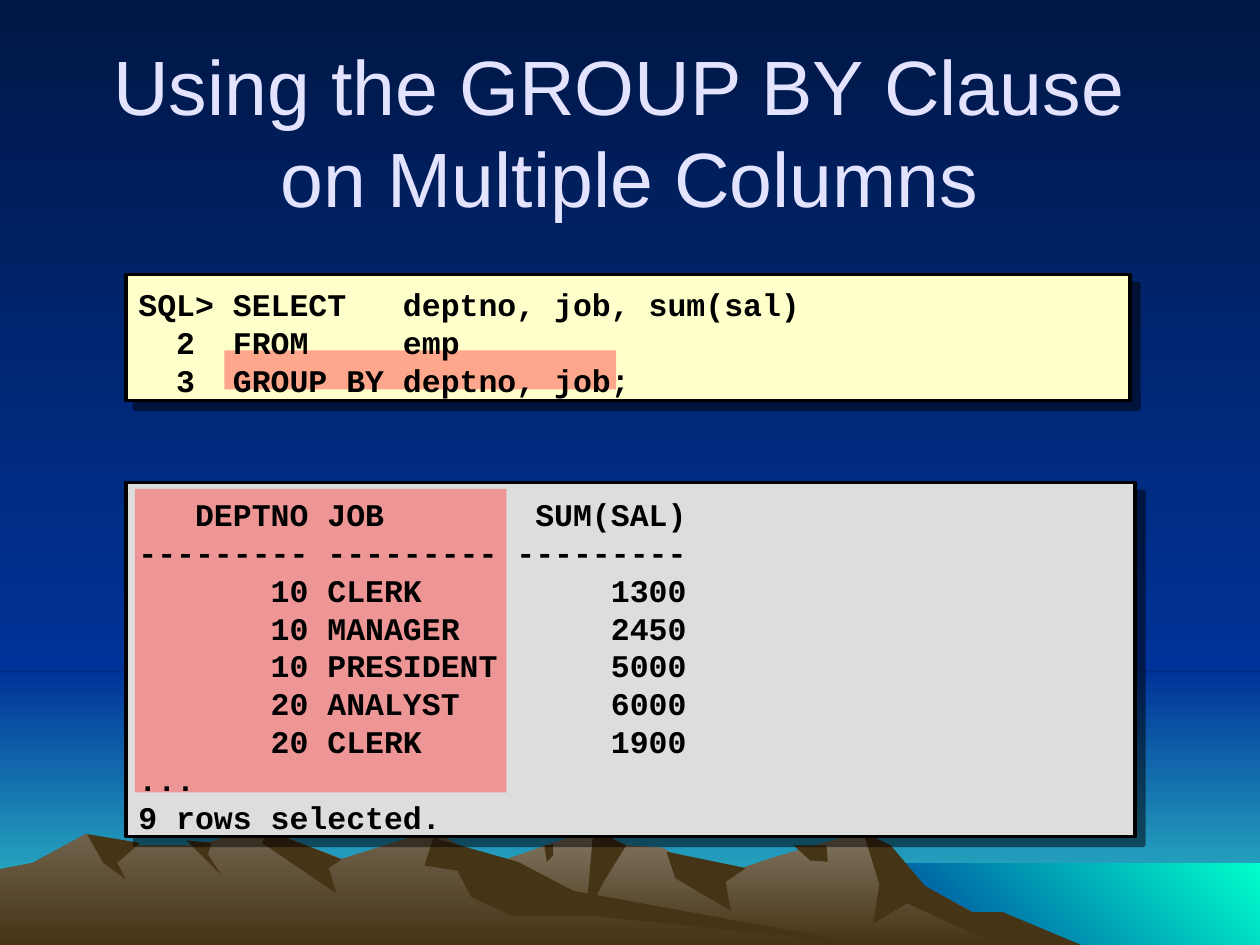
from pptx import Presentation, util as u
from pptx.dml.color import RGBColor
from pptx.enum import shapes, text
from pptx.oxml import ns
from lxml import etree

# ---- Content ----
TITLE = ["Using the GROUP BY Clause ", "on Multiple Columns"]
QUERY = [
    "SQL>\tSELECT\tdeptno, job, sum(sal)",
    "\t2\tFROM\temp",
    "\t3\tGROUP BY deptno, job;",
]
HEAD = ("DEPTNO", "JOB", "SUM(SAL)")
ROWS = [
    (10, "CLERK", 1300),
    (10, "MANAGER", 2450),
    (10, "PRESIDENT", 5000),
    (20, "ANALYST", 6000),
    (20, "CLERK", 1900),
]
RULE = " ".join(["-" * 9] * 3)
LINES = ["\t%s\t%s\t%s" % row for row in [HEAD] + ROWS]
RESULT = LINES[:1] + [RULE] + LINES[1:] + ["...", "9 rows selected."]

# Tab stops, counted in characters
QTABS = [(2, "l"), (5, "l"), (14, "l")]
RTABS = [(9, "r"), (10, "l"), (29, "r")]

# ---- Mountains: fill, then outline in hundredths of an inch ----
DARK = "463416"
SKY = ("001746", "003399")
PEAKS = [
    # Far ridge and its slope
    (("837763", DARK), [
        (258, 750), (327, 709), (394, 685), (471, 658), (497, 671), (526, 673),
        (566, 697), (613, 681), (685, 660), (723, 698), (820, 750)]),
    (DARK, [
        (685, 660), (698, 702), (693, 733), (720, 717), (792, 750), (858, 750),
        (796, 724), (771, 724), (734, 703), (707, 671)]),
    (DARK, [(471, 658), (465, 727), (479, 700), (497, 671)]),
    (DARK, [(529, 676), (536, 697), (580, 723), (576, 700), (592, 689)]),
    (DARK, [(630, 671), (643, 683), (657, 684), (656, 671)]),
    (DARK, [(432, 671), (439, 670), (439, 679), (434, 684)]),
    # Near ridge and its gullies
    (("72644E", DARK), [
        (0, 750), (0, 690), (26, 685), (68, 662), (94, 671), (160, 671),
        (196, 658), (223, 663), (271, 682), (331, 663), (354, 665), (432, 712),
        (690, 750)]),
    (DARK, [(212, 659), (208, 669), (267, 709), (261, 689), (271, 682)]),
    (DARK, [
        (344, 665), (337, 687), (363, 691), (374, 712), (407, 727), (472, 727),
        (690, 750), (455, 707), (411, 684)]),
    (DARK, [(148, 667), (168, 669), (165, 678), (176, 695)]),
    (DARK, [(69, 662), (111, 669), (93, 685), (100, 698), (82, 685)]),
]


# ---- Helpers ----
def inch(num):
    return u.Cm(num * 2.54)


def rgb(code):
    return RGBColor.from_string(code)


def sub(node, tag, **atts):
    return etree.SubElement(node, ns.qn(tag), {k: str(v) for k, v in atts.items()})


def paint(fill, col, ang=90):
    """Solid for one colour, gradient for a pair."""
    if isinstance(col, str):
        fill.solid()
        fill.fore_color.rgb = rgb(col)
        return
    fill.gradient()
    fill.gradient_angle = 360 - ang
    for stop, code in zip(fill.gradient_stops, col):
        stop.color.rgb = rgb(code)


def cast(node, dist):
    """Half-clear black shadow to the lower right."""
    shade = sub(node, "a:outerShdw", dist=u.Pt(dist), dir=45 * 60000,
                algn="ctr", rotWithShape=0)
    sub(sub(shade, "a:srgbClr", val="000000"), "a:alpha", val=50000)


def plain(shape, col, ang=90):
    shape.shadow.inherit = False
    paint(shape.fill, col, ang)
    shape.line.fill.background()
    return shape


def rect(box, col, ang=90):
    kind = shapes.MSO_SHAPE.RECTANGLE
    return plain(slide.shapes.add_shape(kind, *map(inch, box)), col, ang)


def panel(box, col):
    shape = rect(box, col)
    shape.line.color.rgb = rgb("000000")
    shape.line.width = u.Pt(2)
    cast(shape.element.spPr.find(ns.qn("a:effectLst")), 7.1)


def glow(box):
    shape = rect(box, "FF5050")
    clr = shape.element.spPr.find(".//" + ns.qn("a:srgbClr"))
    sub(clr, "a:alpha", val=50000)


def frame(box, top, low):
    body = slide.shapes.add_textbox(*map(inch, box)).text_frame
    body.word_wrap = True
    body.margin_left = body.margin_right = inch(0.1)
    body.margin_top, body.margin_bottom = inch(top), inch(low)
    return body


def put(par, words, face, size, col, bold=False):
    run = par.add_run()
    run.text = words
    font = run.font
    font.name, font.size, font.bold = face, u.Pt(size), bold
    font.color.rgb = rgb(col)
    return run


def code(box, lines, tabs):
    body = frame(box, 0.09, 0.01)
    body.vertical_anchor = text.MSO_ANCHOR.MIDDLE
    for i, line in enumerate(lines):
        par = body.add_paragraph() if i else body.paragraphs[0]
        par.line_spacing = u.Pt(21.6)
        stops = sub(par._p.get_or_add_pPr(), "a:tabLst")
        for col, algn in tabs:
            sub(stops, "a:tab", pos=inch(col * 0.15), algn=algn)
        put(par, line, "Courier New", 18, "000000", True)


# ---- Slide and scenery ----
deck = Presentation()
deck.slide_width, deck.slide_height = inch(10), inch(7.5)
slide = deck.slides.add_slide(deck.slide_layouts[6])
paint(slide.background.fill, SKY)
rect((0, 5.33, 10, 2.17), ("003399", "33CCCC"))
rect((0, 0, 10, 5.33), SKY)
rect((6.83, 6.85, 3.17, 0.65), ("00FFCC", "003399"), 135)
for col, pts in PEAKS:
    pen = slide.shapes.build_freeform(*pts[0], scale=inch(0.01))
    pen.add_line_segments(pts[1:], close=True)
    plain(pen.convert_to_shape(), col)

# ---- Panels and highlights ----
panel((1, 2.18, 7.97, 1), "FFFFCC")
panel((1, 3.83, 8.01, 2.81), "DDDDDD")
glow((1.78, 2.78, 3.11, 0.31))
glow((1.07, 3.88, 2.95, 2.41))

# ---- Title ----
par = frame((0.5, 0.25, 9, 1.25), 0.05, 0.05).paragraphs[0]
par.alignment = text.PP_ALIGN.CENTER
par.line_spacing = u.Pt(53)
for i, line in enumerate(TITLE):
    if i:
        par.add_line_break()
    run = put(par, line, "Arial", 44, "E3E3FF")
    effect = etree.Element(ns.qn("a:effectLst"))
    cast(effect, 4)
    run.font._element.find(ns.qn("a:solidFill")).addnext(effect)

# ---- Query and its result ----
code((1, 2.16, 8, 1.03), QUERY, QTABS)
code((1, 3.82, 8.04, 2.84), RESULT, RTABS)

deck.save("out.pptx")
